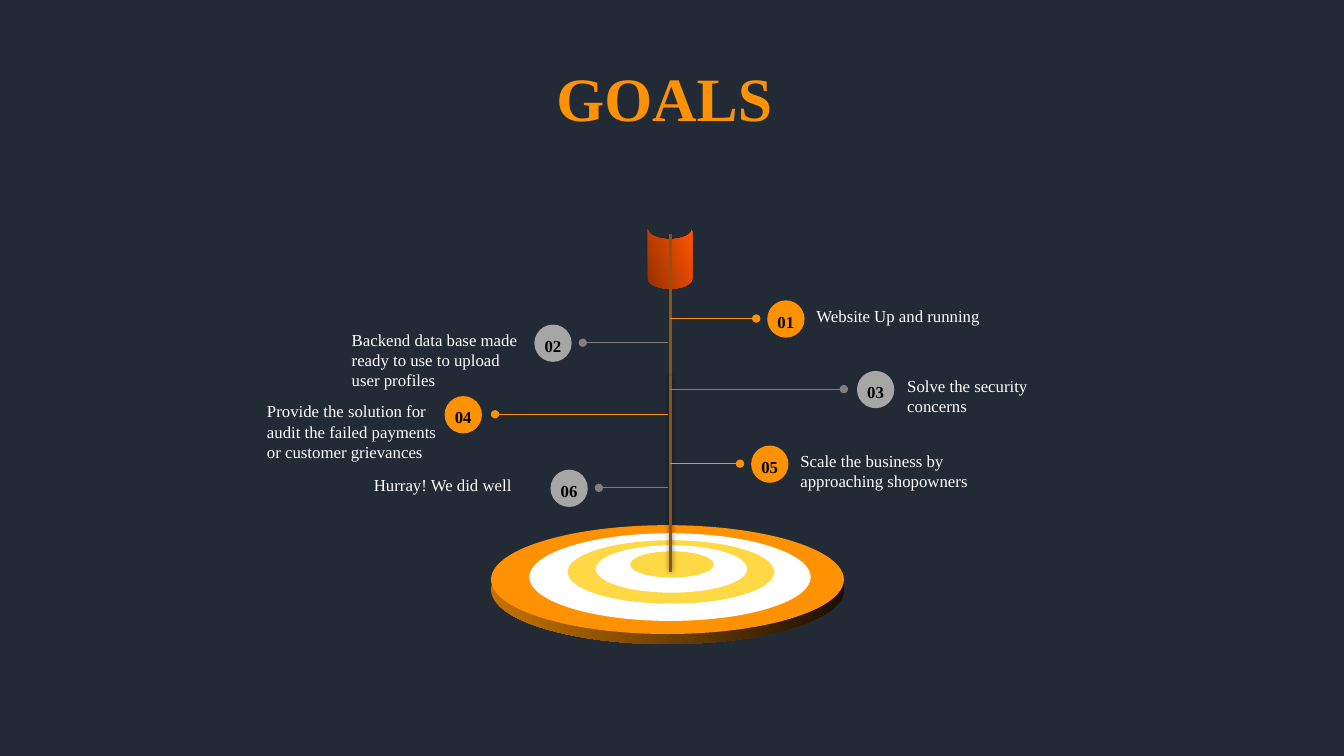
import pptx
import pptx.dml.color
import pptx.enum.shapes
import pptx.enum.text
import pptx.oxml
import pptx.oxml.ns
import pptx.util
from dataclasses import dataclass

Inches = pptx.util.Inches
Shape = pptx.enum.shapes.MSO_SHAPE
Align = pptx.enum.text.PP_ALIGN
Anchor = pptx.enum.text.MSO_ANCHOR


@dataclass(frozen=True)
class Theme:
    font: str = "Times New Roman"
    back: str = "222A35"
    orange: str = "FF9202"
    yellow: str = "FFD945"
    white: str = "FFFFFF"
    black: str = "000000"
    badge: str = "A6A6A6"
    grey: str = "808080"
    wood: str = "8A5510"
    rim: tuple = ("C77200", "1A0F00")
    vane: tuple = ("983100", "FF5301")
    title: int = 44
    body: int = 12


THEME = Theme()

# Number, side (1 right, -1 left), line end, height, badge left, text left, text
GOALS = [
    ("01", 1, 7.5, 3.16, 7.61, 8.0, "Website Up and running"),
    ("02", -1, 5.78, 3.4, 5.3, 3.39,
     "Backend data base made ready to use to upload user profiles"),
    ("03", 1, 8.37, 3.86, 8.5, 8.9, "Solve the security concerns"),
    ("04", -1, 4.91, 4.11, 4.41, 2.55,
     "Provide the solution for audit the failed payments or customer grievances"),
    ("05", 1, 7.34, 4.6, 7.45, 7.84,
     "Scale the business by approaching shopowners"),
    ("06", -1, 5.94, 4.84, 5.46, 3.61, "Hurray! We did well"),
]

# Left, top, width, height, colour
RINGS = [
    (4.87, 5.21, 3.5, 1.08, THEME.orange),
    (5.25, 5.29, 2.79, 0.87, THEME.white),
    (5.63, 5.36, 2.05, 0.63, THEME.yellow),
    (5.91, 5.41, 1.5, 0.47, THEME.white),
    (6.25, 5.47, 0.83, 0.26, THEME.yellow),
]
SHAFT = 6.65
RIM = 0.1


def rgb(code):
    return pptx.dml.color.RGBColor.from_string(code)


def style(frame, size, color, bold=False, align=Align.LEFT):
    for para in frame.paragraphs:
        para.alignment = align
        for run in para.runs:
            run.font.name = THEME.font
            run.font.size = pptx.util.Pt(size)
            run.font.bold = bold
            run.font.color.rgb = rgb(color)


def add_form(slide, kind, box, color):
    form = slide.shapes.add_shape(kind, *map(Inches, box))
    form.shadow.inherit = False
    form.line.fill.background()
    form.fill.solid()
    form.fill.fore_color.rgb = rgb(color)
    return form


def shade(form, colors, angle):
    form.fill.gradient()
    form.fill.gradient_angle = angle
    for stop, color in zip(form.fill.gradient_stops, colors):
        stop.color.rgb = rgb(color)


def add_line(slide, start, end, color, width, oval=False, glow=False):
    line = slide.shapes.add_connector(
        pptx.enum.shapes.MSO_CONNECTOR.STRAIGHT, *map(Inches, start + end))
    line.line.color.rgb = rgb(color)
    line.line.width = pptx.util.Pt(width)
    props = line._element.spPr
    if oval:
        tail = pptx.oxml.parse_xml(
            f'<a:tailEnd {pptx.oxml.ns.nsdecls("a")} type="oval"/>')
        line.line._get_or_add_ln().append(tail)
    cast = (f'<a:outerShdw blurRad="{pptx.util.Pt(4)}" dist="0" dir="18900000">'
            f'<a:srgbClr val="{THEME.black}"><a:alpha val="46000"/></a:srgbClr>'
            '</a:outerShdw>') if glow else ""
    props.append(pptx.oxml.parse_xml(
        f'<a:effectLst {pptx.oxml.ns.nsdecls("a")}>{cast}</a:effectLst>'))


def add_text(slide, box, text):
    frame = slide.shapes.add_textbox(*map(Inches, box)).text_frame
    frame.word_wrap = True
    frame.text = text
    style(frame, THEME.body, THEME.white)


def add_badge(slide, left, top, number, color):
    frame = add_form(slide, Shape.OVAL, (left, top, 0.37, 0.37), color).text_frame
    frame.word_wrap = False
    frame.margin_left = frame.margin_right = frame.margin_bottom = 0
    frame.margin_top = Inches(0.05)
    frame.vertical_anchor = Anchor.MIDDLE
    frame.text = number
    style(frame, THEME.body, THEME.black, True, Align.CENTER)


def add_title(slide, text):
    title = slide.shapes.title
    title.left, title.top, title.width, title.height = map(
        Inches, (2.96, 0.54, 7.26, 0.84))
    frame = title.text_frame
    frame.text = text
    frame.vertical_anchor = Anchor.MIDDLE
    style(frame, THEME.title, THEME.orange, True, Align.CENTER)


def add_target(slide):
    left, top, width, height, color = RINGS[0]
    rim = add_form(slide, Shape.OVAL, (left, top + RIM, width, height), color)
    shade(rim, THEME.rim, 0)
    for *box, color in RINGS:
        add_form(slide, Shape.OVAL, box, color)


def add_arrow(slide):
    vane = add_form(slide, Shape.FLOWCHART_STORED_DATA,
                    (6.35, 2.35, 0.59, 0.44), THEME.vane[0])
    vane.rotation = 270
    shade(vane, THEME.vane, 290)
    add_line(slide, (SHAFT, 2.32), (SHAFT, 5.59), THEME.wood, 2.5)
    add_line(slide, (SHAFT, 3.73), (SHAFT, 5.67), THEME.wood, 2.5, glow=True)


def add_goal(slide, index, goal):
    number, side, end, mid, badge, left, text = goal
    warm = index % 4 in (0, 3) or number == "05"
    start = SHAFT if side > 0 else SHAFT - 0.02
    # Goals 01, 04 and 05 are orange, the rest grey
    add_line(slide, (start, mid), (end, mid),
             THEME.orange if warm else THEME.grey, 0.5, oval=True)
    add_text(slide, (left, mid - 0.18, 1.94, 0.3), text)
    add_badge(slide, badge, mid - 0.18, number,
              THEME.orange if warm else THEME.badge)


def main():
    deck = pptx.Presentation()
    deck.slide_width, deck.slide_height = Inches(13.33), Inches(7.5)
    slide = deck.slides.add_slide(deck.slide_layouts.get_by_name("Title Only"))
    slide.background.fill.solid()
    slide.background.fill.fore_color.rgb = rgb(THEME.back)

    # Heading
    add_title(slide, "GOALS")
    # Target with the arrow stuck in it
    add_target(slide)
    add_arrow(slide)
    # Goals branching off the shaft
    for index, goal in enumerate(GOALS):
        add_goal(slide, index, goal)

    deck.save("out.pptx")


if __name__ == "__main__":
    main()
